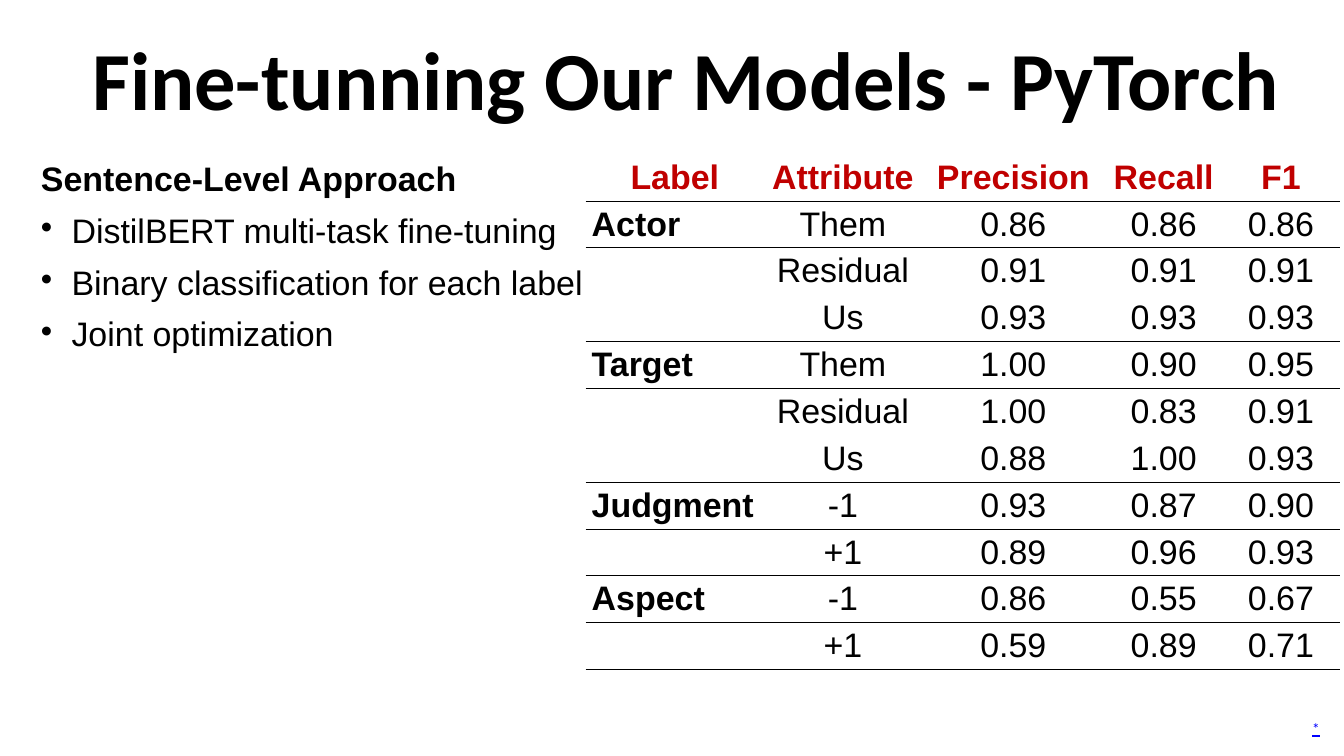
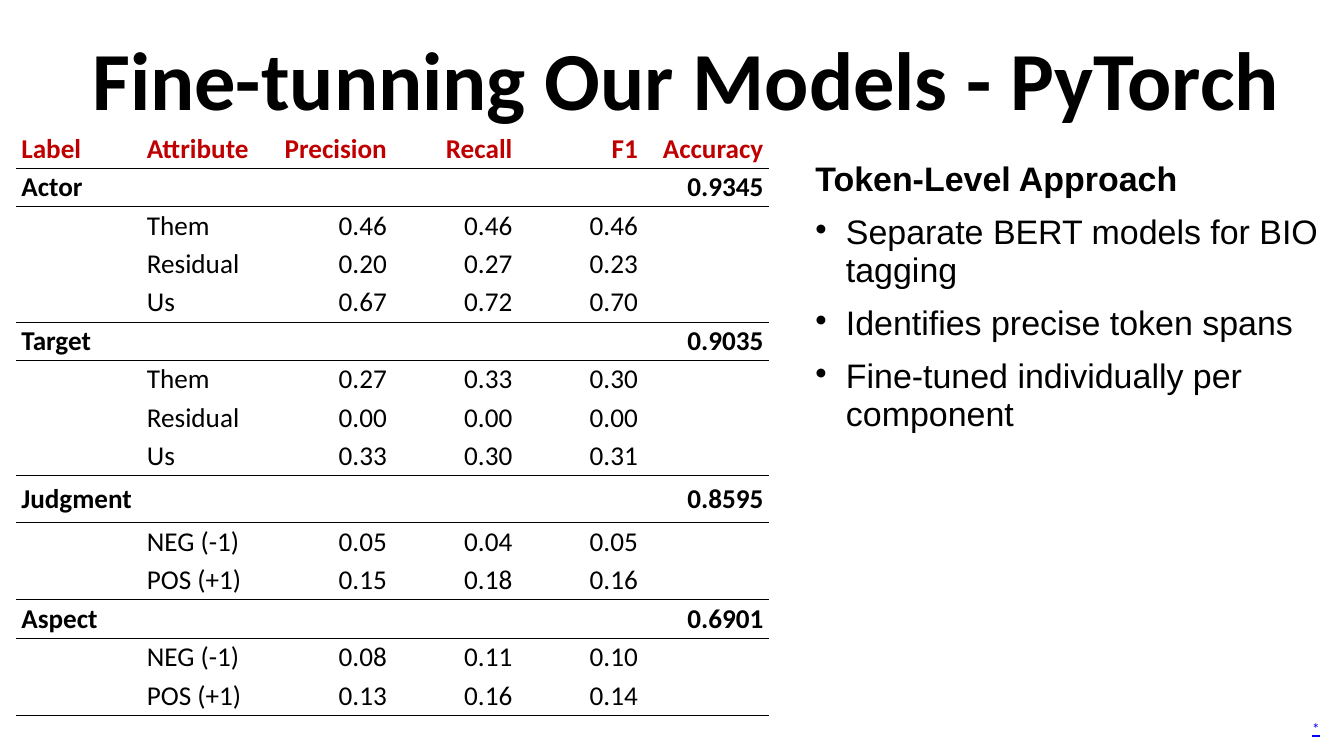
import pptx
import pptx.util
import pptx.dml.color
import pptx.enum.text
import pptx.oxml
import pptx.oxml.ns

ALIGN = pptx.enum.text.PP_ALIGN
ANCHOR = pptx.enum.text.MSO_ANCHOR
L, C, R = ALIGN.LEFT, ALIGN.CENTER, ALIGN.RIGHT
NO_STYLE = "{2D5ABB26-0587-4C30-8999-92F81FD0307C}"
COLORS = {"text": "000000", "header": "C00000", "mark": "0000FF", "rule": "000000"}
TITLE = {"name": "Calibri", "size": 97.2, "bold": True}
MARK = {"name": "Calibri", "size": 18, "underline": True}
BODY = {"name": "Arial", "size": 40}
COMPACT = {"name": "Calibri", "size": 32}

SENTENCE_SCORES = [
    ["Label", "Attribute", "Precision", "Recall", "F1"],
    ["Actor", "Them", "0.86", "0.86", "0.86"],
    ["", "Residual", "0.91", "0.91", "0.91"],
    ["", "Us", "0.93", "0.93", "0.93"],
    ["Target", "Them", "1.00", "0.90", "0.95"],
    ["", "Residual", "1.00", "0.83", "0.91"],
    ["", "Us", "0.88", "1.00", "0.93"],
    ["Judgment", "-1", "0.93", "0.87", "0.90"],
    ["", "+1", "0.89", "0.96", "0.93"],
    ["Aspect", "-1", "0.86", "0.55", "0.67"],
    ["", "+1", "0.59", "0.89", "0.71"],
]
TOKEN_SCORES = [
    ["Label", "Attribute", "Precision", "Recall", "F1", "Accuracy"],
    ["Actor", "", "", "", "", "0.9345"],
    ["", "Them", "0.46", "0.46", "0.46", ""],
    ["", "Residual", "0.20", "0.27", "0.23", ""],
    ["", "Us", "0.67", "0.72", "0.70", ""],
    ["Target", "", "", "", "", "0.9035"],
    ["", "Them", "0.27", "0.33", "0.30", ""],
    ["", "Residual", "0.00", "0.00", "0.00", ""],
    ["", "Us", "0.33", "0.30", "0.31", ""],
    ["Judgment", "", "", "", "", "0.8595"],
    ["", "NEG (-1)", "0.05", "0.04", "0.05", ""],
    ["", "POS (+1)", "0.15", "0.18", "0.16", ""],
    ["Aspect", "", "", "", "", "0.6901"],
    ["", "NEG (-1)", "0.08", "0.11", "0.10", ""],
    ["", "POS (+1)", "0.13", "0.16", "0.14", ""],
]


class Deck:
    """Holds the style and current slide; lengths are percent of the slide."""

    def __init__(self, width, height):
        self.prs = pptx.Presentation()
        self.prs.slide_width = pptx.util.Inches(width)
        self.prs.slide_height = pptx.util.Inches(height)

    def x(self, share):
        return round(self.prs.slide_width * share / 100)

    def y(self, share):
        return round(self.prs.slide_height * share / 100)

    def slide(self, title):
        self.s = self.prs.slides.add_slide(self.prs.slide_layouts[6])
        self.text("*", 97.18, 94.75, 1.36, 3.23, MARK, "mark", wrap=False)
        tf = self.text(title, 2.23, 5.17, 97.64, 11.96, TITLE, align=C)
        tf.vertical_anchor = ANCHOR.MIDDLE
        tf.paragraphs[0].line_spacing = 0.9

    def put_run(self, p, text, style, color="text", align=L):
        p.alignment = align
        r = p.add_run()
        r.text = text
        for name, value in style.items():
            setattr(r.font, name, pptx.util.Pt(value) if name == "size" else value)
        r.font.color.rgb = pptx.dml.color.RGBColor.from_string(COLORS[color])

    def text(self, text, left, top, width, height, style, color="text", align=L, wrap=True):
        sp = self.s.shapes.add_textbox(self.x(left), self.y(top), self.x(width), self.y(height))
        tf = sp.text_frame
        tf.word_wrap = wrap
        self.put_run(tf.paragraphs[0], text, style, color, align)
        return tf

    def table(self, left, top, widths, heights, margins):
        """Add an unstyled table; margins are inches, sideways and upright."""
        frame = self.s.shapes.add_table(
            len(heights), len(widths), self.x(left), self.y(top),
            self.x(sum(widths)), self.y(sum(heights)))
        table = frame.table
        table.first_row = table.horz_banding = False
        table._tbl.tblPr.find(pptx.oxml.ns.qn("a:tableStyleId")).text = NO_STYLE
        for column, width in zip(table.columns, widths):
            column.width = self.x(width)
        for row, height in zip(table.rows, heights):
            row.height = self.y(height)
        side, upright = map(pptx.util.Inches, margins)
        for cell in table.iter_cells():
            cell.fill.background()
            cell.vertical_anchor = ANCHOR.MIDDLE
            cell.margin_left = cell.margin_right = side
            cell.margin_top = cell.margin_bottom = upright
        return table

    def rule(self, cell, edge):
        ln = pptx.oxml.parse_xml(
            f'<a:ln{edge} {pptx.oxml.ns.nsdecls("a")} w="12700"><a:solidFill>'
            f'<a:srgbClr val="{COLORS["rule"]}"/></a:solidFill></a:ln{edge}>')
        cell._tc.get_or_add_tcPr().insert(0, ln)

    def scores(self, rows, left, top, widths, heights, margins, style, head, body, bold):
        """Score table: a rule closes the header and every labelled group."""
        table = self.table(left, top, widths, heights, margins)
        for i, row in enumerate(rows):
            closes = i + 1 == len(rows) or rows[i + 1][0]
            for j, text in enumerate(row):
                cell = table.cell(i, j)
                if closes:
                    self.rule(cell, "B")
                if i and row[0]:
                    self.rule(cell, "T")
                if text:
                    self.put_run(cell.text_frame.paragraphs[0], text,
                                 {**style, "bold": i == 0 or j in bold},
                                 "text" if i else "header", (body if i else head)[j])

    def approach(self, heading, points, left, widths):
        """Heading and bulleted points, one per table row."""
        table = self.table(left, 20.37, widths, [6.47] * (len(points) + 1), (0.18, 0.09))
        for i, text in enumerate([heading, *points]):
            p = table.cell(i, 0).text_frame.paragraphs[0]
            if i:
                pPr = p._p.get_or_add_pPr()
                indent = pptx.util.Inches(0.5)
                pPr.set("marL", str(indent))
                pPr.set("indent", str(-indent))
                pPr.append(pptx.oxml.parse_xml(
                    f'<a:buChar {pptx.oxml.ns.nsdecls("a")} char="•"/>'))
            self.put_run(p, text, {**BODY, "bold": i == 0})


def main():
    deck = Deck(21.99, 12.37)
    title = "Fine-tunning Our Models - PyTorch"

    deck.slide(title)
    deck.approach("Sentence-Level Approach",
                  ["DistilBERT multi-task fine-tuning",
                   "Binary classification for each label",
                   "Joint optimization"], 2.23, [48.89] * 2)
    deck.scores(SENTENCE_SCORES, 43.57, 20.37, [13.28, 11.73, 13.64, 8.73, 8.73],
                [5.82] * len(SENTENCE_SCORES), (0.1, 0.05), BODY,
                head=[C] * 5, body=[L] + [C] * 4, bold={0})

    deck.slide(title)
    deck.approach("Token-Level Approach",
                  ["Separate BERT models for BIO tagging",
                   "Identifies precise token spans",
                   "Fine-tuned individually per component"], 59.85, [43.57])
    heights = [6.22 if row[0] == "Judgment" else 5.09 for row in TOKEN_SCORES]
    aligns = [L] * 2 + [R] * 4
    deck.scores(TOKEN_SCORES, 1.18, 17.14, [9.34] * 6, heights, (0.09, 0.04), COMPACT,
                head=aligns, body=aligns, bold={0, 5})

    deck.prs.save("out.pptx")


if __name__ == "__main__":
    main()
